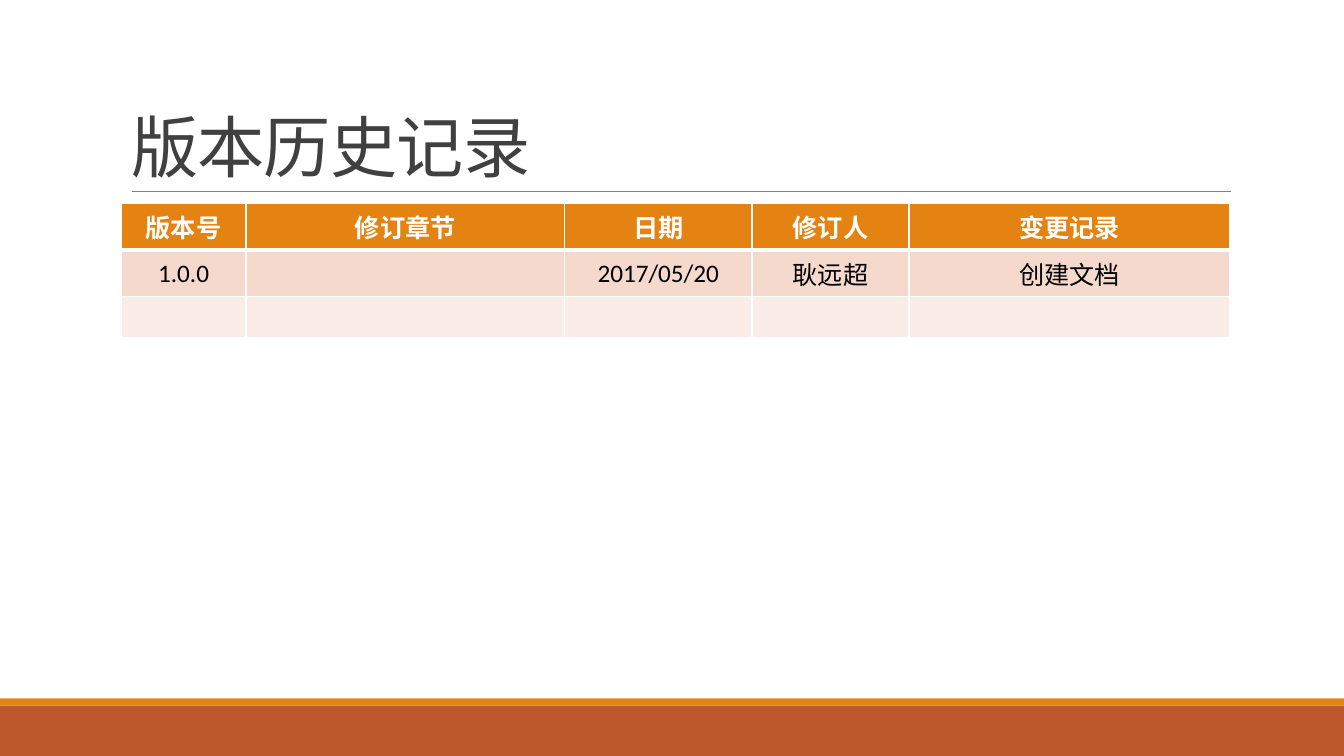
import dataclasses

import lxml.etree
import pptx
import pptx.dml.color
import pptx.enum.shapes
import pptx.enum.text
import pptx.oxml.ns
import pptx.util

Cm = pptx.util.Cm
Pt = pptx.util.Pt
qn = pptx.oxml.ns.qn


@dataclasses.dataclass(frozen=True)
class Theme:
    font: str = "Calibri"
    title_size: int = 48
    table_size: int = 18
    title: str = "404040"
    rule: str = "808080"
    band: str = "BD582C"
    accent: str = "E48312"
    row_fills: tuple = ("E48312", "F5D9CC", "FAEDE7")
    header_text: str = "FFFFFF"
    body_text: str = "000000"
    border: str = "FFFFFF"


def rgb(value):
    return pptx.dml.color.RGBColor.from_string(value)


class SlideBuilder:
    def __init__(self, page, theme):
        self.page = page
        self.theme = theme

    def add_span(self, para, text, size, color, bold=False):
        span = para.add_run()
        span.text = text
        span.font.name = self.theme.font
        span.font.size = Pt(size)
        span.font.bold = bold
        span.font.color.rgb = rgb(color)
        return span

    def title(self, text, left, top, width, height):
        box = self.page.shapes.title
        box.left, box.top, box.width, box.height = map(Cm, (left, top, width, height))
        frame = box.text_frame
        frame.word_wrap = True
        frame.auto_size = pptx.enum.text.MSO_AUTO_SIZE.NONE
        frame.vertical_anchor = pptx.enum.text.MSO_ANCHOR.BOTTOM
        para = frame.paragraphs[0]
        para.alignment = pptx.enum.text.PP_ALIGN.LEFT
        para.line_spacing = 0.85
        span = self.add_span(para, text, self.theme.title_size, self.theme.title)
        span.font._element.set("spc", "-50")

    def bar(self, left, top, width, height, color):
        shape = self.page.shapes.add_shape(
            pptx.enum.shapes.MSO_SHAPE.RECTANGLE, *map(Cm, (left, top, width, height)))
        shape.shadow.inherit = False
        shape.fill.solid()
        shape.fill.fore_color.rgb = rgb(color)
        shape.line.fill.background()

    def rule(self, left, right, top, color):
        line = self.page.shapes.add_connector(
            pptx.enum.shapes.MSO_CONNECTOR.STRAIGHT, *map(Cm, (left, top, right, top)))
        line.line.color.rgb = rgb(color)
        line.line.width = Pt(0.5)
        lxml.etree.SubElement(line._element.spPr, qn("a:effectLst"))

    def borders(self, cell, top, bottom):
        properties = cell._tc.get_or_add_tcPr()
        sides = (("lnL", 1), ("lnR", 1), ("lnT", top), ("lnB", bottom))
        for index, (side, width) in enumerate(sides):
            edge = lxml.etree.Element(qn(f"a:{side}"), w=str(Pt(width)))
            fill = lxml.etree.SubElement(edge, qn("a:solidFill"))
            lxml.etree.SubElement(fill, qn("a:srgbClr"), val=self.theme.border)
            properties.insert(index, edge)

    def table(self, rows, left, top, widths, row_height):
        theme = self.theme
        table = self.page.shapes.add_table(
            len(rows), len(widths), Cm(left), Cm(top),
            Cm(sum(widths)), Cm(row_height * len(rows))).table
        for column, width in zip(table.columns, widths):
            column.width = Cm(width)
        for row_index, texts in enumerate(rows):
            table.rows[row_index].height = Cm(row_height)
            header = row_index == 0
            color = theme.header_text if header else theme.body_text
            for column_index, text in enumerate(texts):
                cell = table.cell(row_index, column_index)
                cell.fill.solid()
                cell.fill.fore_color.rgb = rgb(theme.row_fills[row_index])
                cell.vertical_anchor = pptx.enum.text.MSO_ANCHOR.MIDDLE
                self.borders(cell, 3 if row_index == 1 else 1, 3 if header else 1)
                para = cell.text_frame.paragraphs[0]
                para.alignment = pptx.enum.text.PP_ALIGN.CENTER
                if text:
                    self.add_span(para, text, theme.table_size, color, header)


def main():
    theme = Theme()
    deck = pptx.Presentation()
    deck.slide_width, deck.slide_height = Cm(33.87), Cm(19.05)
    builder = SlideBuilder(deck.slides.add_slide(deck.slide_layouts[5]), theme)

    # Footer bands and the rule under the title
    builder.bar(0, 17.78, 33.87, 1.27, theme.band)
    builder.bar(0, 17.6, 33.87, 0.18, theme.accent)
    builder.rule(3.33, 31.01, 4.83, theme.rule)

    # Title
    builder.title("版本历史记录", 3.05, 0.79, 27.94, 4.04)

    # Version history
    history = [
        ("版本号", "修订章节", "日期", "修订人", "变更记录"),
        ("1.0.0", "", "2017/05/20", "耿远超", "创建文档"),
        ("",) * 5,
    ]
    builder.table(history, 3.05, 5.13, (3.15, 8.03, 4.72, 3.96, 8.08), 1.03)

    deck.save("out.pptx")


if __name__ == "__main__":
    main()
